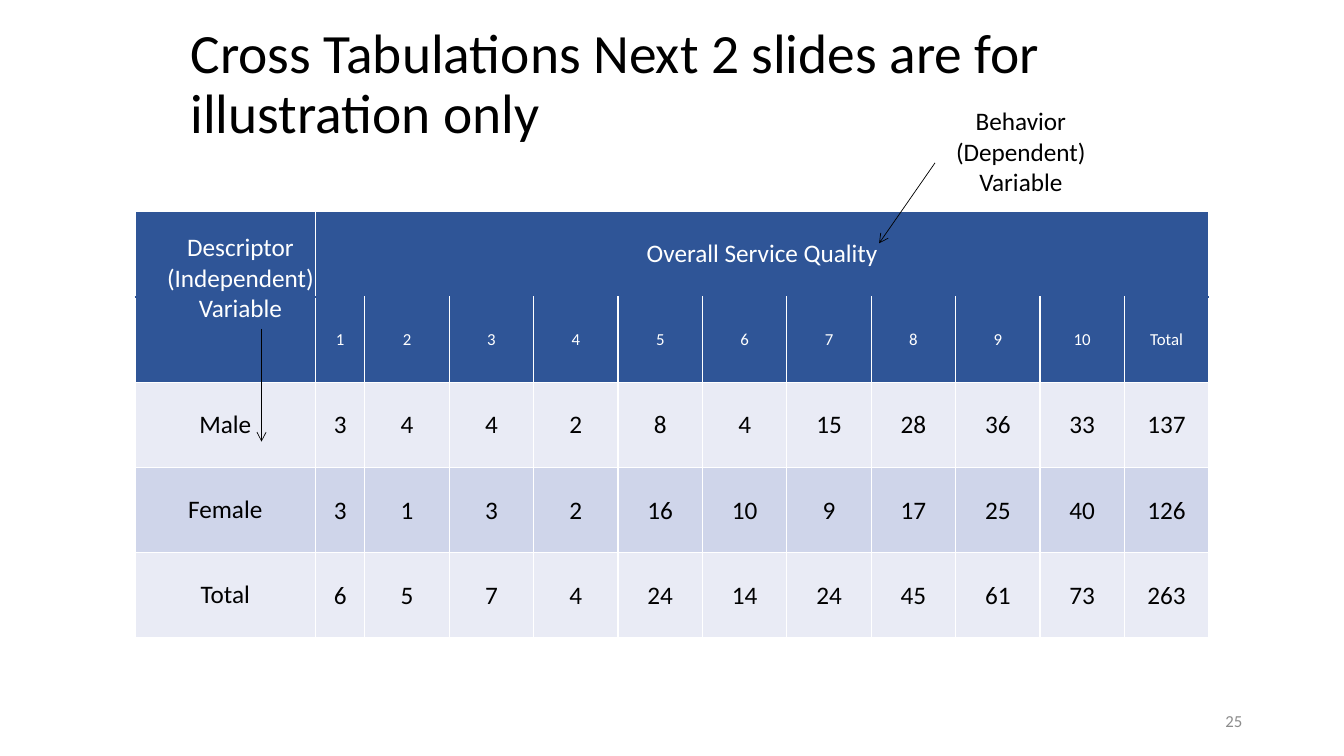
from lxml import etree
from pptx import Presentation
from pptx.dml.color import RGBColor
from pptx.enum.shapes import MSO_CONNECTOR
from pptx.enum.text import MSO_ANCHOR, MSO_AUTO_SIZE, PP_ALIGN
from pptx.oxml import parse_xml
from pptx.oxml.ns import nsdecls, qn
from pptx.util import Inches, Pt

FONT = "Calibri"
WIDTH, HEIGHT = 13.33, 7.5
COLOURS = {
    "ink": "000000",
    "paper": "FFFFFF",
    "header": "2F5597",
    "light_band": "E9EBF5",
    "dark_band": "CFD5EA",
    "page": "8C8C8C",
}
RATINGS = [str(score) for score in range(1, 11)] + ["Total"]
COUNTS = {
    "Male": [3, 4, 4, 2, 8, 4, 15, 28, 36, 33, 137],
    "Female": [3, 1, 3, 2, 16, 10, 9, 17, 25, 40, 126],
    "Total": [6, 5, 7, 4, 24, 14, 24, 45, 61, 73, 263],
}


def write(frame, lines, size, colour, align=PP_ALIGN.CENTER):
    """Fill a text frame with one paragraph per line in a single style."""
    frame.text = "\n".join(lines)
    for paragraph in frame.paragraphs:
        paragraph.alignment = align
        for run in paragraph.runs:
            run.font.name = FONT
            run.font.size = Pt(size)
            run.font.color.rgb = RGBColor.from_string(COLOURS[colour])


def add_label(slide, box, lines, size, colour, align=PP_ALIGN.CENTER, anchor=MSO_ANCHOR.TOP):
    """Add a wrapping text box."""
    label = slide.shapes.add_textbox(*map(Inches, box))
    label.text_frame.word_wrap = True
    label.text_frame.vertical_anchor = anchor
    write(label.text_frame, lines, size, colour, align)


def add_title(slide, box, title):
    """Move and format the title placeholder."""
    heading = slide.shapes.title
    heading.left, heading.top, heading.width, heading.height = map(Inches, box)
    frame = heading.text_frame
    write(frame, [title], 39.6, "ink", PP_ALIGN.LEFT)
    frame.word_wrap = True
    frame.auto_size = MSO_AUTO_SIZE.NONE
    frame.vertical_anchor = MSO_ANCHOR.MIDDLE
    frame.paragraphs[0].line_spacing = 0.9


def set_borders(cell, top, bottom):
    """Draw one-point cell borders, white on both sides."""
    sides = {"lnL": "paper", "lnR": "paper", "lnT": top, "lnB": bottom}
    properties = cell._tc.get_or_add_tcPr()
    for position, (side, colour) in enumerate(sides.items()):
        border = parse_xml(
            f'<a:{side} {nsdecls("a")} w="12700"><a:solidFill>'
            f'<a:srgbClr val="{COLOURS[colour]}"/></a:solidFill></a:{side}>'
        )
        properties.insert(position, border)


def add_cross_table(slide, box):
    """Place the cross tabulation, with two header rows above the counts."""
    left, top, width, height = box
    grid = [["", "Overall Service Quality"] + [""] * 10, [""] + RATINGS]
    grid += [[group] + [str(count) for count in counts] for group, counts in COUNTS.items()]
    table = slide.shapes.add_table(len(grid), len(grid[0]), *map(Inches, box)).table
    table.first_row = table.horz_banding = False

    group_width, first_width = 0.168 * width, 0.046 * width
    rating_width = (width - group_width - first_width) / 10
    for column, share in zip(table.columns, [group_width, first_width] + [rating_width] * 10):
        column.width = Inches(share)
    for row in table.rows:
        row.height = Inches(height / len(grid))

    for r, texts in enumerate(grid):
        in_header = r < 2
        fill = "header" if in_header else ("dark_band" if r % 2 else "light_band")
        for c, text in enumerate(texts):
            cell = table.cell(r, c)
            cell.fill.solid()
            cell.fill.fore_color.rgb = RGBColor.from_string(COLOURS[fill])
            cell.vertical_anchor = MSO_ANCHOR.MIDDLE
            if not in_header and c:
                cell.margin_left = cell.margin_right = cell.margin_top = Inches(0.01)
                cell.margin_bottom = 0
            write(cell.text_frame, [text], 12 if r == 1 else 18, "paper" if in_header else "ink")
            set_borders(cell, "header" if r == 1 else "paper", "header" if r == 0 else "paper")
    table.cell(0, 1).merge(table.cell(0, len(grid[0]) - 1))


def add_callout(slide, box, lines, colour, start, end):
    """Place a label and its arrow, whose ends are shares of the box."""
    left, top, width, height = box
    ends = [Inches(value) for x, y in (start, end) for value in (left + x * width, top + y * height)]
    arrow = slide.shapes.add_connector(MSO_CONNECTOR.STRAIGHT, *ends)
    arrow.line.color.rgb = RGBColor.from_string(COLOURS["ink"])
    arrow.line.width = Pt(0.5)
    etree.SubElement(arrow.line._get_or_add_ln(), qn("a:tailEnd"), type="arrow")
    etree.SubElement(arrow._element.spPr, qn("a:effectLst"))
    add_label(slide, box, lines, 18, colour)


def build_cross_tab_slide(deck):
    """Compose the cross tabulation slide."""
    slide = deck.slides.add_slide(deck.slide_layouts[5])
    add_title(slide, (1.79, 0.59, 10.41, 0.52),
              "Cross Tabulations Next 2 slides are for illustration only")
    add_cross_table(slide, (1.34, 2.1, 10.65, 4.23))
    add_callout(slide, (1.34, 2.25, 2.09, 1.01), ["Descriptor (Independent) Variable"],
                "paper", (0.6, 1), (0.6, 2.11))
    add_callout(slide, (9.2, 1, 1.85, 1.01), ["Behavior", "(Dependent) Variable"],
                "ink", (0.04, 0.61), (-0.26, 1.4))
    add_label(slide, (9.42, 6.95, 3, 0.4), ["25"], 12, "page", PP_ALIGN.RIGHT, MSO_ANCHOR.MIDDLE)


def main():
    """Build and save the deck."""
    deck = Presentation()
    deck.slide_width, deck.slide_height = Inches(WIDTH), Inches(HEIGHT)
    build_cross_tab_slide(deck)
    deck.save("out.pptx")


if __name__ == "__main__":
    main()
